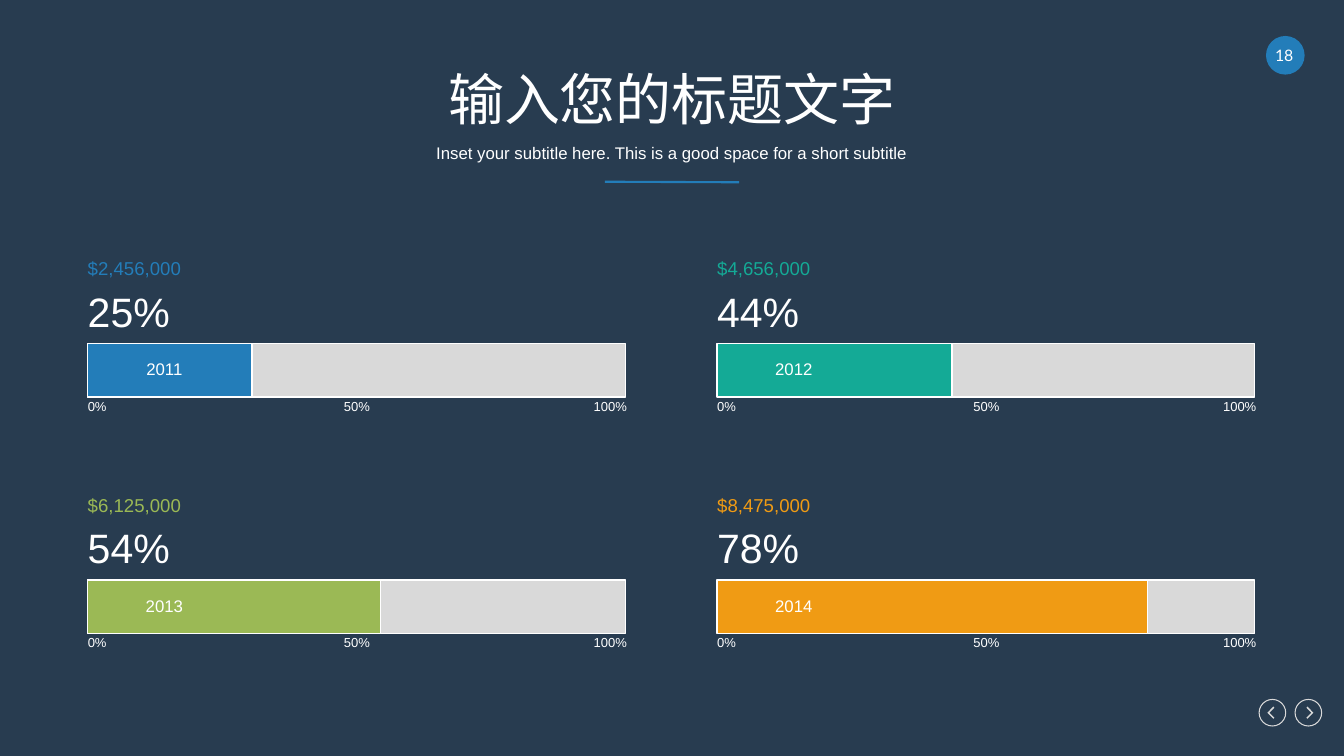
from pptx import Presentation
from pptx.dml.color import RGBColor
from pptx.enum.shapes import MSO_CONNECTOR, MSO_SHAPE
from pptx.enum.text import MSO_ANCHOR, PP_ALIGN
from pptx.oxml.ns import qn
from pptx.util import Pt

LEFT, MID, RIGHT = PP_ALIGN.LEFT, PP_ALIGN.CENTER, PP_ALIGN.RIGHT
TOP, CENTER = MSO_ANCHOR.TOP, MSO_ANCHOR.MIDDLE
RECT, OVAL = MSO_SHAPE.RECTANGLE, MSO_SHAPE.OVAL
STRAIGHT = MSO_CONNECTOR.STRAIGHT

HUES = {
    "navy": "283C50", "white": "FFFFFF", "gray": "D9D9D9", "blue": "237DB9",
    "teal": "14AA96", "green": "9BB955", "gold": "F09B14",
}
RGB = {name: RGBColor.from_string(code) for name, code in HUES.items()}


def add_text(home, words, box, size, hue="white", align=LEFT, anchor=TOP, font="Arial"):
    frame = home.add_textbox(*map(Pt, box)).text_frame
    form = {"word_wrap": True, "vertical_anchor": anchor, "margin_left": 0,
            "margin_right": 0, "margin_top": 0, "margin_bottom": 0}
    for key, value in form.items():
        setattr(frame, key, value)
    para = frame.paragraphs[0]
    para.alignment = align
    run = para.add_run()
    run.text = words
    for key, value in {"name": font, "size": Pt(size)}.items():
        setattr(run.font, key, value)
    run.font.color.rgb = RGB[hue]


def paint(shape, fill=None, line=None, width=1):
    shape.shadow.inherit = False
    for part, hue in ((shape.fill, fill), (shape.line.fill, line)):
        if hue:
            part.solid()
            part.fore_color.rgb = RGB[hue]
        else:
            part.background()
    if line:
        shape.line.width = Pt(width)


deck = Presentation()
deck.slide_width, deck.slide_height = Pt(960), Pt(540)
slide = deck.slides.add_slide(deck.slide_layouts[6])
slide.background.fill.solid()
slide.background.fill.fore_color.rgb = RGB["navy"]
shapes = slide.shapes

rule = shapes.add_connector(STRAIGHT, Pt(432), Pt(129.8), Pt(528), Pt(130.2))
rule.line.color.rgb = RGB["blue"]
rule.line.width = Pt(1.5)
rule._element.spPr.append(rule._element.makeelement(qn("a:effectLst"), {}))

ARROW = [(0.7, 4.4), (1.4, 3.6), (-2.2, 0), (1.4, -3.6), (0.7, -4.4), (-3.6, 0)]
SIZE, MIDY = 19, 509.1
for midx, way in ((908.9, 1), (934.6, -1)):
    ring = shapes.add_shape(OVAL, Pt(midx - SIZE / 2), Pt(MIDY - SIZE / 2), Pt(SIZE), Pt(SIZE))
    paint(ring, line="gray", width=0.75)
    spots = [(Pt(midx + way * x), Pt(MIDY + y)) for x, y in ARROW]
    pen = shapes.build_freeform(*spots[0])
    pen.add_line_segments(spots[1:], close=True)
    paint(pen.convert_to_shape(), fill="gray")

badge = shapes.add_shape(OVAL, Pt(904.3), Pt(25.7), Pt(27.6), Pt(27.6))
paint(badge, fill="blue")
add_text(shapes, "18", (905.8, 32.3, 23, 13.7), 11.3, align=MID, font="Lato")

add_text(shapes, "输入您的标题文字", (62.4, 46, 835, 48.2), 40, align=MID, anchor=CENTER)
add_text(shapes, "Inset your subtitle here. This is a good space for a short subtitle",
         (62.4, 97.5, 835, 23.8), 12, align=MID, anchor=CENTER)

PANELS = [
    ("2011", "25%", "$2,456,000", "blue", 117.4),
    ("2012", "44%", "$4,656,000", "teal", 167.8),
    ("2013", "54%", "$6,125,000", "green", 209.3),
    ("2014", "78%", "$8,475,000", "gold", 307.5),
]
TICKS = [("0%", 0, LEFT), ("50%", 175.6, MID), ("100%", 351.8, RIGHT)]
WIDE, HIGH = 384, 38.2

for i, (year, share, sum_, hue, part) in enumerate(PANELS):
    left = 62.7 + i % 2 * 449.6
    top = 245.4 + i // 2 * 168.8
    group = shapes.add_group_shape().shapes
    for width, fill in ((WIDE, "gray"), (part, hue)):
        bar = group.add_shape(RECT, Pt(left), Pt(top), Pt(width), Pt(HIGH))
        paint(bar, fill=fill, line="white")
    add_text(group, share, (left, top - 41, 97, 37.5), 29.3)
    add_text(group, sum_, (left, top - 61.6, 77, 16.6), 13.3, hue)
    add_text(group, year, (left + 31, top + 11, 47.5, 14.4), 12, align=MID)
    for mark, shift, align in TICKS:
        add_text(group, mark, (left + shift, top + 39, 33.2, 13.7), 9.3, align=align)

deck.save("out.pptx")
